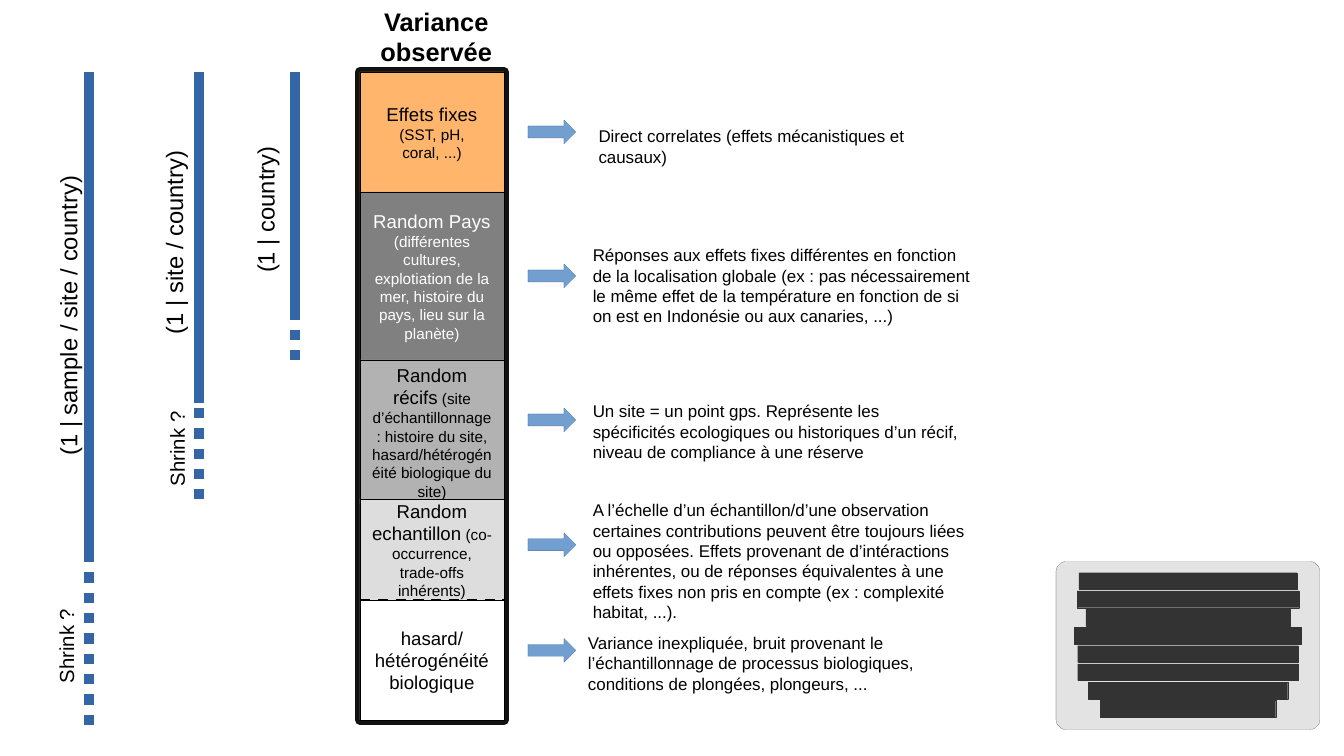
from dataclasses import dataclass
from lxml import etree
from pptx import Presentation, util as u
from pptx.dml.color import RGBColor
from pptx.enum import dml, shapes, text
from pptx.oxml import ns


@dataclass(frozen=True)
class Theme:
    face: str = "Arial"
    black: str = "000000"
    white: str = "FFFFFF"
    frame: str = "111111"
    blue: str = "3465A4"
    sky: str = "729FCF"
    pale: str = "DDDDDD"
    dark: str = "333333"
    title: int = 15
    model: int = 14
    shrink: int = 12
    head: int = 11
    body: int = 10
    small: int = 9
    hair: float = 0.05


T = Theme()
Run = tuple[str, int]
Box = tuple[float, float, float, float]


@dataclass(frozen=True)
class Band:
    top: float
    high: float
    fill: str
    paras: list[list[Run]]
    ink: str = T.black


@dataclass(frozen=True)
class Note:
    arrow: float
    box: Box
    words: str


@dataclass(frozen=True)
class Bar:
    x: float
    end: float
    dots: tuple[float, float]


@dataclass(frozen=True)
class Label:
    x: float
    y: float
    wide: float
    high: float
    words: str
    size: int


deck = Presentation()
deck.slide_width, deck.slide_height = u.Cm(28), u.Cm(15.75)
slide = deck.slides.add_slide(deck.slide_layouts[6])


def rgb(code: str) -> RGBColor:
    return RGBColor.from_string(code)


def write(shape, paras: list[list[Run]], ink: str, align=text.PP_ALIGN.CENTER) -> None:
    frame = shape.text_frame
    frame.word_wrap = True
    for i, runs in enumerate(paras):
        para = frame.paragraphs[0] if i == 0 else frame.add_paragraph()
        para.alignment = align
        para.font.name = T.face
        para.font.color.rgb = rgb(ink)
        sizes = {size for _, size in runs}
        if len(sizes) == 1:
            para.font.size = u.Pt(runs[0][1])
        for words, size in runs:
            run = para.add_run()
            run.text = words
            if len(sizes) > 1:
                run.font.size = u.Pt(size)


def draw(kind, box: Box, fill: str, edge: str, width: float = T.hair):
    shape = slide.shapes.add_shape(kind, *map(u.Cm, box))
    shape.shadow.inherit = False
    shape.fill.solid()
    shape.fill.fore_color.rgb = rgb(fill)
    shape.line.color.rgb = rgb(edge)
    shape.line.width = u.Pt(width)
    return shape


def label(box: Box, words: str, size: int, align=text.PP_ALIGN.CENTER):
    shape = slide.shapes.add_textbox(*map(u.Cm, box))
    write(shape, [[(words, size)]], T.black, align)
    shape.text_frame.auto_size = text.MSO_AUTO_SIZE.SHAPE_TO_FIT_TEXT
    return shape


def rule(ends: Box, ink: str, width: float, dash=None) -> None:
    line = slide.shapes.add_connector(shapes.MSO_CONNECTOR.STRAIGHT, *map(u.Cm, ends))
    line.line.color.rgb = rgb(ink)
    line.line.width = u.Pt(width)
    if dash is not None:
        line.line.dash_style = dash
    etree.SubElement(line._element.spPr, ns.qn("a:effectLst"))


# Column of variance shares
LEFT, TOP, WIDE, HIGH = 7.5, 1.5, 3, 13.5
BANDS = [
    Band(1.5, 2.5, "FFB66C", [[("Effets fixes ", T.head), ("(SST, pH, coral, ...)", T.small)]]),
    Band(4, 3.5, "808080", [
        [("Random Pays", T.head)],
        [("(différentes cultures, explotiation de la mer, histoire du pays, "
          "lieu sur la planète)", T.small)]], T.white),
    Band(7.5, 3, "B2B2B2", [[
        ("Random récifs", T.head),
        (" (site d’échantillonnage : histoire du site, "
         "hasard/hétérogénéité biologique du site)", T.small)]]),
    Band(10.4, 2.1, T.pale, [[
        ("Random echantillon", T.head),
        (" (co-occurrence, trade-offs inhérents)", T.small)]]),
    Band(12.5, 2.5, T.white, [[("hasard/hétérogénéité biologique", T.head)]]),
]
RECT = shapes.MSO_SHAPE.RECTANGLE
draw(RECT, (LEFT, TOP, WIDE, HIGH), T.white, T.frame, 6)
title = label((7.67, 0, 2.84, 1.42), "Variance observée", T.title)
title.text_frame.paragraphs[0].font.bold = True
for band in BANDS:
    shape = draw(RECT, (LEFT, band.top, WIDE, band.high), band.fill, T.black)
    shape.text_frame.vertical_anchor = text.MSO_ANCHOR.MIDDLE
    write(shape, band.paras, band.ink)

# Arrows and explanations
NOTES = [
    Note(2.5, (12.22, 2.5, 8.28, 1.55), "Direct correlates (effets mécanistiques et causaux)"),
    Note(5.5, (12.1, 4.98, 8.5, 3),
         "Réponses aux effets fixes différentes en fonction de la localisation globale "
         "(ex : pas nécessairement le même effet de la température en fonction de si "
         "on est en Indonésie ou aux canaries, ...)"),
    Note(8.5, (12.1, 8.23, 8.28, 1.55),
         "Un site = un point gps. Représente les spécificités ecologiques ou historiques "
         "d’un récif, niveau de compliance à une réserve"),
    Note(11.1, (12.1, 10.29, 8.28, 2.62),
         "A l’échelle d’un échantillon/d’une observation certaines contributions peuvent "
         "être toujours liées ou opposées. Effets provenant de d’intéractions inhérentes, "
         "ou de réponses équivalentes à une effets fixes non pris en compte "
         "(ex : complexité habitat, ...)."),
    Note(13.3, (12, 13.05, 8.28, 1.55),
         "Variance inexpliquée, bruit provenant le l’échantillonnage de processus "
         "biologiques, conditions de plongées, plongeurs, ..."),
]
for note in NOTES:
    draw(shapes.MSO_SHAPE.RIGHT_ARROW, (11, note.arrow, 1, 0.5), T.sky, T.blue)
    label(note.box, note.words, T.body, text.PP_ALIGN.LEFT)

# Model bars with dotted shrink ranges
BARS = [
    Bar(6.15, 6.5, (5.6, 7.5)),
    Bar(4.15, 8.4, (8.5, 10.4)),
    Bar(1.85, 11.5, (11.5, 15.1)),
]
for bar in BARS:
    rule((bar.x, TOP, bar.x, bar.end), T.blue, 6)
    rule((bar.x, bar.dots[0], bar.x, bar.dots[1]), T.blue, 6, dml.MSO_LINE.ROUND_DOT)

# Upright labels, placed by their centres
LABELS = [
    Label(3.6, 5.05, 6, 0.81, "(1 | site / country)", T.model),
    Label(1.68, 6.58, 6.96, 1.37, "(1 | sample / site / country)", T.model),
    Label(5.51, 4.37, 6, 0.81, "(1 | country)", T.model),
    Label(3.71, 9.35, 2.5, 0.81, "Shrink ?", T.shrink),
    Label(1.4, 13.46, 2.5, 0.81, "Shrink ?", T.shrink),
]
for tag in LABELS:
    box = (tag.x - tag.wide / 2, tag.y - tag.high / 2, tag.wide, tag.high)
    label(box, tag.words, tag.size).rotation = 270

# Translucent panel with centred dark strips
panel = draw(shapes.MSO_SHAPE.ROUNDED_RECTANGLE, (22, 11.7, 5.5, 3.5), T.pale, T.black)
panel.adjustments[0] = 0.06
for tint in panel._element.spPr.iter(ns.qn("a:srgbClr")):
    etree.SubElement(tint, ns.qn("a:alpha"), val="80000")
MID, FIRST, STEP, THICK = 24.75, 11.93, 0.38, 0.35
for row, wide in enumerate([4.54, 4.62, 4.25, 4.73, 4.6, 4.6, 4.16, 3.66]):
    draw(RECT, (MID - wide / 2, FIRST + row * STEP, wide, THICK), T.dark, T.dark)

# Dashed limit above the unexplained share
rule((LEFT, 12.5, LEFT + WIDE, 12.5), T.black, 1.5, dml.MSO_LINE.DASH)

deck.save("out.pptx")
